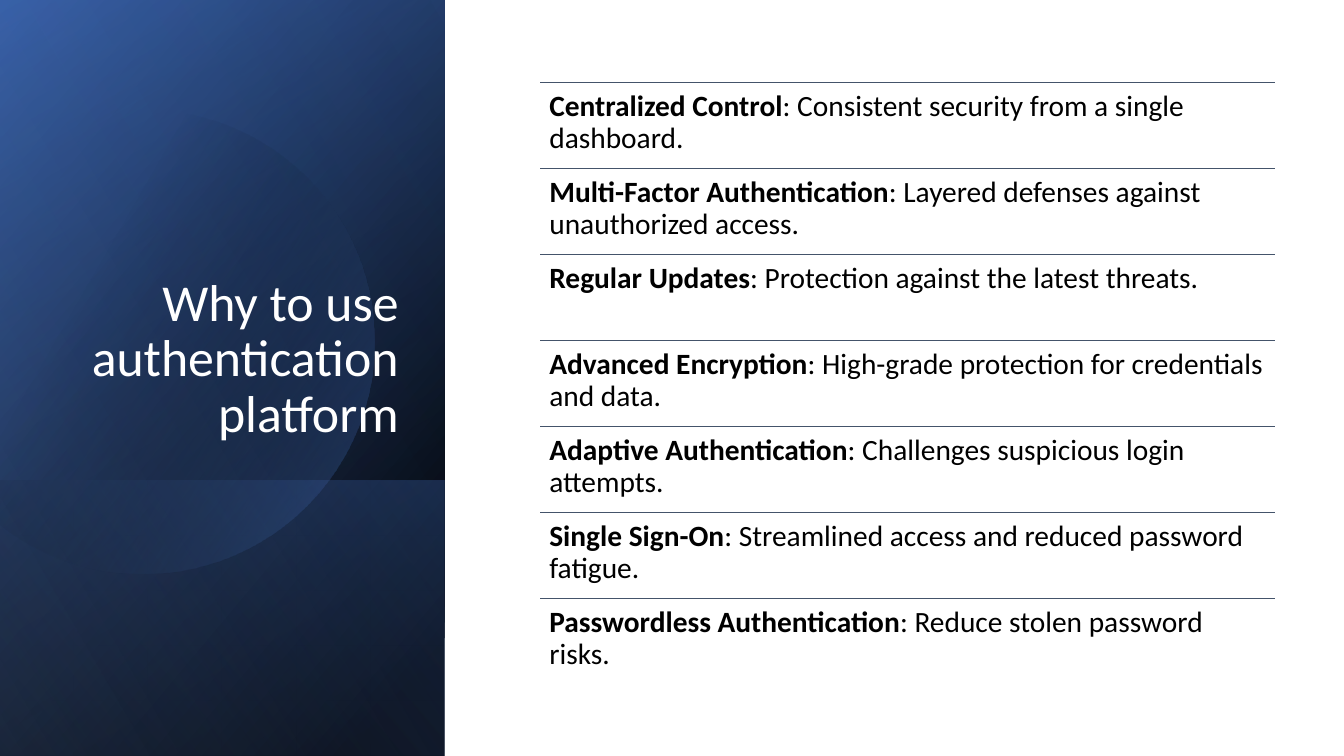
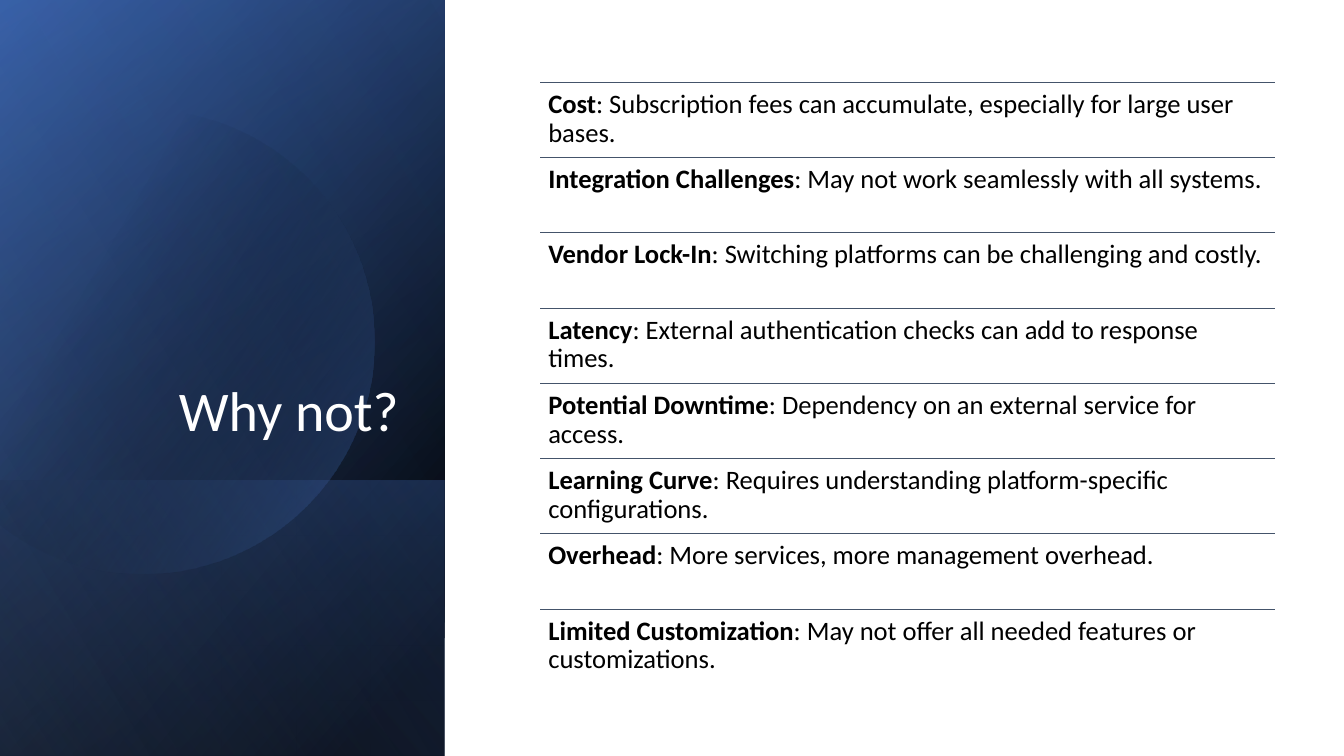
import dataclasses
import math

import lxml.etree
import pptx
import pptx.dml.color
import pptx.enum.shapes
import pptx.enum.text
import pptx.oxml
import pptx.oxml.ns
import pptx.util


@dataclasses.dataclass(frozen=True)
class Theme:
    font: str = "Calibri"
    black: str = "000000"
    white: str = "FFFFFF"
    rule: str = "44546A"
    deep_blue: str = "2F5597"
    blue: str = "4472C4"
    pale_blue: str = "8FAADC"
    rule_width: float = 0.5
    line_spacing: float = 0.9


theme = Theme()
ALIGN = pptx.enum.text.PP_ALIGN
ANCHOR = pptx.enum.text.MSO_ANCHOR

deck = pptx.Presentation()
deck.slide_width = pptx.util.Inches(13.33)
deck.slide_height = pptx.util.Inches(7.5)

# Lengths are thousandths of the slide's width (X) and height (Y)
X = deck.slide_width // 1000
Y = deck.slide_height // 1000


def add_text(slide, box, runs, *, size, color, inset=(0.1, 0.05),
             align=ALIGN.LEFT, anchor=ANCHOR.TOP):
    """Add one paragraph; runs are (text, bold) pairs."""
    frame = slide.shapes.add_textbox(*box).text_frame
    frame.word_wrap = True
    frame.vertical_anchor = anchor
    frame.margin_left = frame.margin_right = pptx.util.Inches(inset[0])
    frame.margin_top = frame.margin_bottom = pptx.util.Inches(inset[1])
    paragraph = frame.paragraphs[0]
    paragraph.alignment = align
    paragraph.line_spacing = theme.line_spacing
    for text, bold in runs:
        run = paragraph.add_run()
        run.text = text
        run.font.name = theme.font
        run.font.size = pptx.util.Pt(size)
        run.font.bold = bold
        run.font.color.rgb = pptx.dml.color.RGBColor.from_string(color)


def paint_gradient(shape, stops, angle):
    """Fill with (position %, colour, opacity %) stops; angle is clockwise."""
    shape.shadow.inherit = False
    shape.fill.background()
    properties = shape.fill._xPr
    stop_xml = "".join(
        f'<a:gs pos="{position * 1000}"><a:srgbClr val="{color}">'
        f'<a:alpha val="{opacity * 1000}"/></a:srgbClr></a:gs>'
        for position, color, opacity in stops)
    gradient = pptx.oxml.parse_xml(
        f'<a:gradFill {pptx.oxml.ns.nsdecls("a")} rotWithShape="1">'
        f'<a:gsLst>{stop_xml}</a:gsLst>'
        f'<a:lin ang="{angle * 60000}" scaled="0"/></a:gradFill>')
    properties.replace(properties.find(pptx.oxml.ns.qn("a:noFill")), gradient)
    shape.line.fill.background()


# Side panel: layers from back to front
panel = (0, 0, 331 * X, 1000 * Y)
lower_band = (0, 635 * Y, 331 * X, 365 * Y)
layers = [
    (panel, [(8, theme.black, 100), (100, theme.deep_blue, 100)], 220),
    (panel, [(0, theme.black, 0), (99, theme.blue, 46)], 240),
    (lower_band, [(2, theme.blue, 29), (100, theme.black, 30)], 140),
    ("disc", [(29, theme.black, 0), (100, theme.blue, 43)], 30),
    (panel, [(0, theme.black, 0), (99, theme.pale_blue, 11)], 150),
]

# Disc outline, cut off by the left edge of the slide
disc_x, disc_y, disc_radius = 106 * X, 452 * Y, 307 * Y
disc_sweep = math.acos(-disc_x / disc_radius)
DISC_STEPS = 120
disc_points = []
for step in range(DISC_STEPS + 1):
    turn = disc_sweep * (2 * step / DISC_STEPS - 1)
    disc_points.append((max(0, round(disc_x + disc_radius * math.cos(turn))),
                        round(disc_y + disc_radius * math.sin(turn))))

# Content
title_box = (48 * X, 245 * Y, 256 * X, 349 * Y)
list_left, list_top, list_width, list_height = 402 * X, 109 * Y, 547 * X, 796 * Y
topics = [
    dict(title="Why to use authentication platform", title_size=37,
         point_size=21, inset=0.09, points=[
             ("Centralized Control", "Consistent security from a single dashboard."),
             ("Multi-Factor Authentication", "Layered defenses against unauthorized access."),
             ("Regular Updates", "Protection against the latest threats."),
             ("Advanced Encryption", "High-grade protection for credentials and data."),
             ("Adaptive Authentication", "Challenges suspicious login attempts."),
             ("Single Sign-On", "Streamlined access and reduced password fatigue."),
             ("Passwordless Authentication", "Reduce stolen password risks."),
         ]),
    dict(title="Why not?", title_size=40,
         point_size=19, inset=0.08, points=[
             ("Cost", "Subscription fees can accumulate, especially for large user bases."),
             ("Integration Challenges", "May not work seamlessly with all systems."),
             ("Vendor Lock-In", "Switching platforms can be challenging and costly."),
             ("Latency", "External authentication checks can add to response times."),
             ("Potential Downtime", "Dependency on an external service for access."),
             ("Learning Curve", "Requires understanding platform-specific configurations."),
             ("Overhead", "More services, more management overhead."),
             ("Limited Customization", "May not offer all needed features or customizations."),
         ]),
]

for topic in topics:
    slide = deck.slides.add_slide(deck.slide_layouts[6])

    # Panel and title
    for area, stops, angle in layers:
        if area == "disc":
            outline = slide.shapes.build_freeform(*disc_points[0])
            outline.add_line_segments(disc_points[1:], close=True)
            layer = outline.convert_to_shape()
        else:
            layer = slide.shapes.add_shape(
                pptx.enum.shapes.MSO_SHAPE.RECTANGLE, *area)
        paint_gradient(layer, stops, angle)
    add_text(slide, title_box, [(topic["title"], False)],
             size=topic["title_size"], color=theme.white,
             align=ALIGN.RIGHT, anchor=ANCHOR.BOTTOM)

    # Ruled list: equal rows fill the list height
    row_height = list_height // len(topic["points"])
    for row, (term, detail) in enumerate(topic["points"]):
        row_top = list_top + row * row_height
        rule = slide.shapes.add_connector(
            pptx.enum.shapes.MSO_CONNECTOR.STRAIGHT,
            list_left, row_top, list_left + list_width, row_top)
        rule.line.color.rgb = pptx.dml.color.RGBColor.from_string(theme.rule)
        rule.line.width = pptx.util.Pt(theme.rule_width)
        lxml.etree.SubElement(rule._element.spPr,
                              pptx.oxml.ns.qn("a:effectLst"))
        add_text(slide, (list_left, row_top, list_width, row_height),
                 [(term, True), (f": {detail}", False)],
                 size=topic["point_size"], color=theme.black,
                 inset=(topic["inset"], topic["inset"]))

deck.save("out.pptx")
